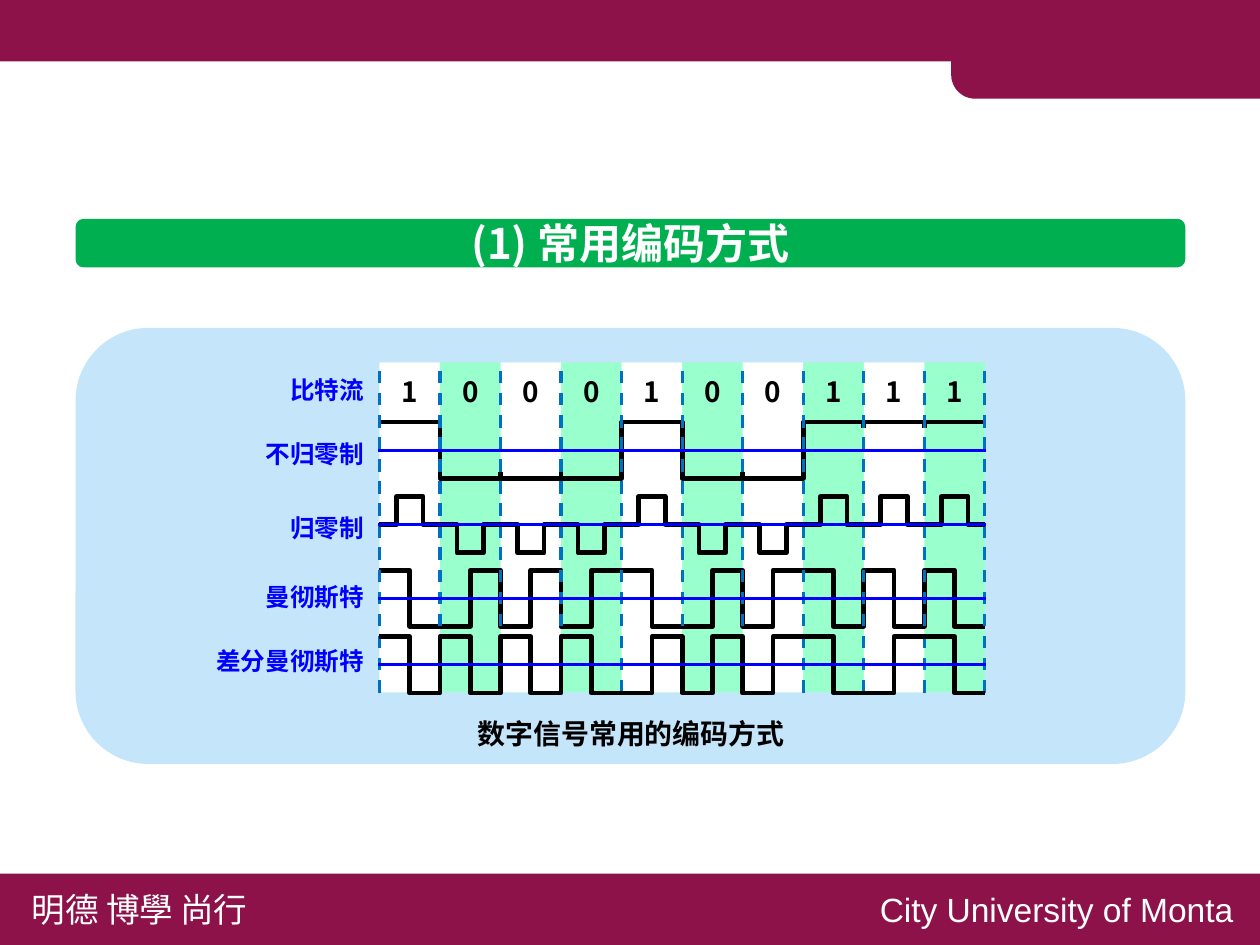
"""Build a slide that compares common line codes for one bit stream."""
from lxml import etree
from pptx import Presentation
from pptx.dml.color import RGBColor
from pptx.enum.dml import MSO_LINE
from pptx.enum.shapes import MSO_CONNECTOR, MSO_SHAPE
from pptx.enum.text import MSO_ANCHOR, MSO_AUTO_SIZE, PP_ALIGN
from pptx.oxml.ns import qn
from pptx.util import Pt

RECT, ROUND = MSO_SHAPE.RECTANGLE, MSO_SHAPE.ROUNDED_RECTANGLE
TAB = MSO_SHAPE.ROUND_1_RECTANGLE
STRAIGHT, DASH = MSO_CONNECTOR.STRAIGHT, MSO_LINE.DASH
LEFT, CENTER, RIGHT = PP_ALIGN.LEFT, PP_ALIGN.CENTER, PP_ALIGN.RIGHT
MIDDLE, NO_FIT = MSO_ANCHOR.MIDDLE, MSO_AUTO_SIZE.NONE

TITLE = "(1) 常用编码方式"
CAPTION = "数字信号常用的编码方式"
MOTTO = "明德 博學 尚行"
SCHOOL = "City University of Monta"
BITS = "1000100111"
ROW_LABELS = [("比特流", 175.7), ("不归零制", 205.9), ("归零制", 241.2),
              ("曼彻斯特", 274.3), ("差分曼彻斯特", 304.6)]
BASELINES = {"nrz": 214.4, "rz": 249.8, "manchester": 284.9, "differential": 316.6}

COLORS = {"maroon": "8D124A", "panel": "C5E5FB", "mint": "99FFCC", "banner": "00B050",
          "white": "FFFFFF", "black": "000000", "label": "0000FF", "divider": "0070C0"}
CJK, LATIN = "Noto Sans CJK SC", "Arial"

GRID_LEFT, GRID_TOP, GRID_BOTTOM = 180.7, 172.6, 329.8
CELL = 28.83
AMPLITUDE = 13.4
TICK = 3
PULSE = 0.44


def color(name):
    return RGBColor.from_string(COLORS[name])


def add_box(page, kind, left, top, width, height, fill):
    box = page.shapes.add_shape(kind, Pt(left), Pt(top), Pt(width), Pt(height))
    box.shadow.inherit = False
    box.fill.solid()
    box.fill.fore_color.rgb = color(fill)
    box.line.fill.background()
    return box


def write(box, text, size, fill, align, font=CJK, bold=True, insets=(5.76, 2.88)):
    frame = box.text_frame
    frame.word_wrap = True
    frame.auto_size = NO_FIT
    frame.margin_left = frame.margin_right = Pt(insets[0])
    frame.margin_top = frame.margin_bottom = Pt(insets[1])
    frame.text = text
    para = frame.paragraphs[0]
    para.alignment = align
    para.font.size, para.font.bold, para.font.name = Pt(size), bold, font
    para.font.color.rgb = color(fill)
    defaults = para._p.pPr.find(qn("a:defRPr"))
    etree.SubElement(defaults, qn("a:ea")).set("typeface", font)


def add_label(page, left, top, width, height, *style, **options):
    box = page.shapes.add_textbox(Pt(left), Pt(top), Pt(width), Pt(height))
    write(box, *style, **options)


def add_line(page, start, end, fill, width, dash=None):
    line = page.shapes.add_connector(STRAIGHT, *map(Pt, (*start, *end)))
    line.line.color.rgb = color(fill)
    line.line.width = Pt(width)
    if dash:
        line.line.dash_style = dash
    etree.SubElement(line.element.spPr, qn("a:effectLst"))


def add_wave(page, baseline, segments):
    x, points = GRID_LEFT, []
    for share, level in segments:
        y = baseline - AMPLITUDE * level
        points.append((Pt(x), Pt(y)))
        x += share * CELL
        points.append((Pt(x), Pt(y)))
    builder = page.shapes.build_freeform(*points[0], scale=1.0)
    builder.add_line_segments(points[1:], close=False)
    wave = builder.convert_to_shape()
    wave.shadow.inherit = False
    wave.fill.background()
    wave.line.color.rgb = color("black")
    wave.line.width = Pt(2.25)


def encode(bits):
    """Return the (share of cell, level) segments of every code."""
    waves = {name: [] for name in BASELINES}
    rest = (1 - PULSE) / 2
    last = -1
    for bit in bits:
        sign = 1 if bit == "1" else -1
        start = last * sign
        waves["nrz"] += [(1, sign)]
        waves["rz"] += [(rest, 0), (PULSE, sign), (rest, 0)]
        waves["manchester"] += [(0.5, sign), (0.5, -sign)]
        if not waves["differential"]:
            start = 1
        waves["differential"] += [(0.5, start), (0.5, -start)]
        last = -start
    return waves


def draw_frame(page):
    add_box(page, RECT, 0, 0, 600, 29.3, "maroon")
    tab = add_box(page, TAB, 452.9, 1.4, 147.1, 45.6, "maroon")
    tab.adjustments[0] = 0.25
    tab.rotation = 180
    add_box(page, RECT, 0, 416, 600, 34, "maroon")
    add_label(page, 8, 419.8, 150, 26.6, MOTTO, 16, "white", LEFT,
              bold=False, insets=(7.2, 3.6))
    add_label(page, 390, 419.8, 204.6, 26.6, SCHOOL, 16, "white", RIGHT,
              font=LATIN, bold=False, insets=(7.2, 3.6))
    add_box(page, ROUND, 36, 156.2, 528.5, 207.6, "panel")
    add_box(page, ROUND, 36, 104.2, 528.5, 23.2, "banner")


def draw_title(page):
    title = page.shapes.title
    title.left, title.top, title.width, title.height = map(Pt, (36, 104.2, 528.5, 23.2))
    write(title, TITLE, 20, "white", CENTER, insets=(0, 0))
    title.text_frame.vertical_anchor = MIDDLE
    page.shapes.element.append(title.element)


def draw_diagram(page):
    height = GRID_BOTTOM - GRID_TOP
    grid_right = GRID_LEFT + CELL * len(BITS)
    waves = encode(BITS)
    add_box(page, RECT, GRID_LEFT, GRID_TOP, CELL * len(BITS), height, "mint")
    for index, bit in enumerate(BITS):
        left = GRID_LEFT + CELL * index
        if index % 2 == 0:
            add_box(page, RECT, left, GRID_TOP, CELL, height, "white")
        add_label(page, left, 175.7, CELL, 22.3, bit, 13.3, "black", CENTER)
        if index and bit == BITS[index - 1]:
            sign = 1 if bit == "1" else -1
            edge = BASELINES["nrz"] - sign * AMPLITUDE
            add_line(page, (left, edge), (left, edge + sign * TICK), "black", 2.25)
    for name in ("nrz", "manchester"):
        add_wave(page, BASELINES[name], waves[name])
    for index in range(len(BITS) + 1):
        x = GRID_LEFT + CELL * index
        add_line(page, (x, GRID_BOTTOM), (x, GRID_TOP - 0.5), "divider", 1.5, DASH)
    for name in ("rz", "differential"):
        add_wave(page, BASELINES[name], waves[name])
    for y in BASELINES.values():
        add_line(page, (GRID_LEFT - 0.5, y), (grid_right + 0.5, y), "label", 1.5)
    for text, top in ROW_LABELS:
        add_label(page, 79.3, top, 100, 20, text, 11.7, "label", RIGHT)
    add_label(page, 204.5, 337.7, 192.2, 23.8, CAPTION, 13.3, "black", CENTER,
              insets=(7.2, 3.6))


def main():
    deck = Presentation()
    deck.slide_width, deck.slide_height = Pt(600), Pt(450)
    page = deck.slides.add_slide(deck.slide_layouts[5])
    draw_frame(page)
    draw_title(page)
    draw_diagram(page)
    deck.save("out.pptx")


if __name__ == "__main__":
    main()
